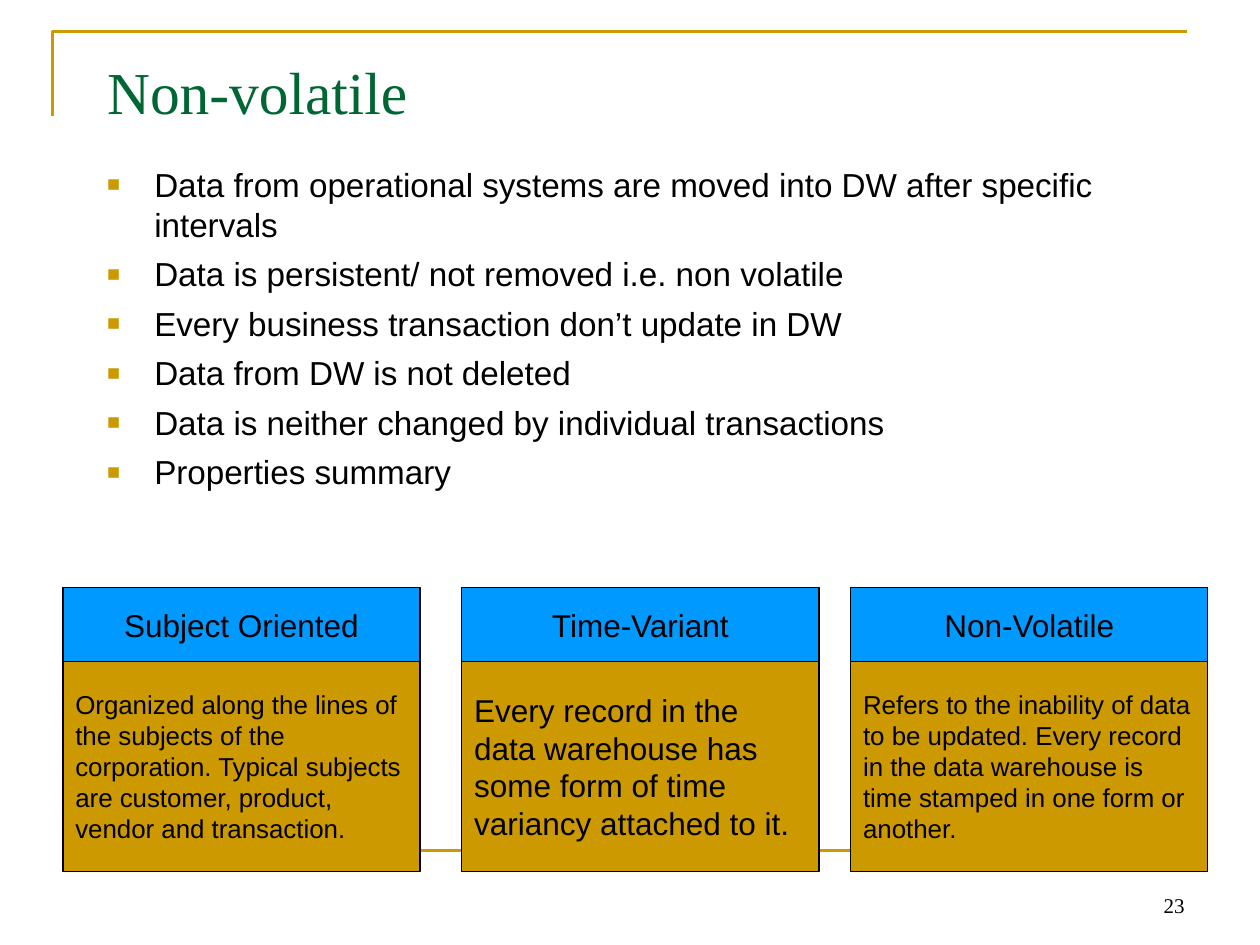
from lxml.etree import SubElement
from pptx import Presentation
from pptx.dml.color import RGBColor
from pptx.enum.shapes import MSO_CONNECTOR as CONN, MSO_SHAPE as SHAPE
from pptx.enum.text import MSO_ANCHOR as ANCHOR, MSO_AUTO_SIZE as FIT, PP_ALIGN as ALIGN
from pptx.oxml.ns import qn
from pptx.util import Cm, Pt

COLORS = {"gold": "CC9900", "blue": "0099FF", "green": "006633", "black": "000000"}
SANS, SERIF = "Arial", "Times New Roman"


def rgb(name):
    return RGBColor.from_string(COLORS[name])


def write(sp, lines, size, font, color="black", align=ALIGN.LEFT, **frame):
    tf = sp.text_frame
    settings = {"word_wrap": True, "auto_size": FIT.NONE, "vertical_anchor": ANCHOR.TOP,
                "margin_left": Cm(0.25), "margin_right": Cm(0.25),
                "margin_top": Cm(0.13), "margin_bottom": Cm(0.13)}
    for key, value in {**settings, **frame}.items():
        setattr(tf, key, value)
    tf.text = "\n".join(lines)
    for p in tf.paragraphs:
        p.alignment = align
        for key, value in {"size": Pt(size), "name": font, "bold": False}.items():
            setattr(p.runs[0].font, key, value)
        p.runs[0].font.color.rgb = rgb(color)
    return tf


prs = Presentation()
prs.slide_width, prs.slide_height = Cm(25.4), Cm(19.05)
s = prs.slides.add_slide(prs.slide_layouts[1])
title, body = s.placeholders

fb = s.shapes.build_freeform(Cm(1.06), Cm(2.33))
fb.add_line_segments([(Cm(1.06), Cm(0.64)), (Cm(23.92), Cm(0.64))], close=False)
corner = fb.convert_to_shape()
corner.fill.background()
corner.shadow.inherit = False
rule = s.shapes.add_connector(CONN.STRAIGHT, Cm(1.27), Cm(17.15), Cm(24.13), Cm(17.15))
SubElement(rule._element.spPr, qn("a:effectLst"))
for sp in (corner, rule):
    sp.line.color.rgb = rgb("gold")
    sp.line.width = Pt(1.5)

for sp, top, height in ((title, 0.84, 3.18), (body, 3.18, 12.7)):
    sp.left, sp.top, sp.width, sp.height = Cm(1.91), Cm(top), Cm(21.59), Cm(height)

write(title, ["Non-volatile"], 34, SERIF, "green", margin_top=Cm(0.27))
bullets = [
    "Data from operational systems are moved into DW after specific intervals",
    "Data is persistent/ not removed i.e. non volatile",
    "Every business transaction don’t update in DW",
    "Data from DW is not deleted",
    "Data is neither changed by individual transactions",
    "Properties summary",
]
tf = write(body, bullets, 19, SANS)
for p in tf.paragraphs:
    p.space_before = Pt(5.5)
    pPr = p._p.get_or_add_pPr()
    pPr.set("marL", str(Cm(0.95)))
    pPr.set("indent", str(-Cm(0.95)))
    SubElement(SubElement(pPr, qn("a:buClr")), qn("a:srgbClr")).set("val", COLORS["gold"])
    SubElement(pPr, qn("a:buSzPct")).set("val", "65000")
    SubElement(pPr, qn("a:buFont")).set("typeface", SANS)
    SubElement(pPr, qn("a:buChar")).set("char", "■")

cards = [
    (1.27, "Subject Oriented", 14.8,
     "Organized along the lines of the subjects of the corporation. "
     "Typical subjects are customer, product, vendor and transaction."),
    (9.31, "Time-Variant", 18,
     "Every record in the data warehouse has some form of time variancy attached to it."),
    (17.15, "Non-Volatile", 14.8,
     "Refers to the inability of data to be updated. "
     "Every record in the data warehouse is time stamped in one form or another."),
]
for left, heading, size, detail in cards:
    for top, height, fill, text, pt, align in (
        (11.85, 1.48, "blue", heading, 18, ALIGN.CENTER),
        (13.33, 4.24, "gold", detail, size, ALIGN.LEFT),
    ):
        sp = s.shapes.add_shape(SHAPE.RECTANGLE, Cm(left), Cm(top), Cm(7.2), Cm(height))
        sp.shadow.inherit = False
        sp.fill.solid()
        sp.fill.fore_color.rgb = rgb(fill)
        sp.line.color.rgb = rgb("black")
        sp.line.width = Pt(0.75)
        write(sp, [text], pt, SANS, align=align, vertical_anchor=ANCHOR.MIDDLE)

number = s.shapes.add_textbox(Cm(18.2), Cm(17.36), Cm(5.93), Cm(1.27))
write(number, ["23"], 12, SERIF, align=ALIGN.RIGHT, vertical_anchor=ANCHOR.BOTTOM)

prs.save("out.pptx")
